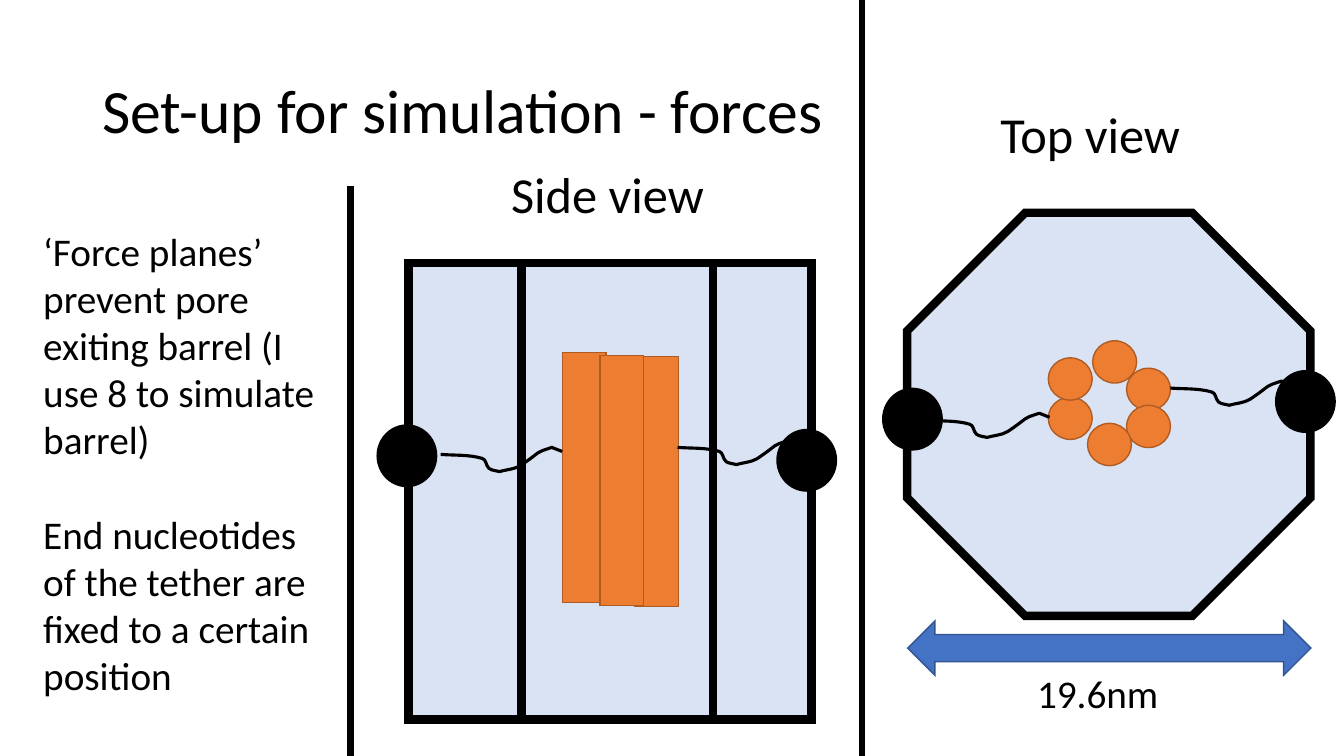
import pptx
import pptx.dml.color
import pptx.enum.shapes
import pptx.enum.text
import pptx.oxml.ns
import pptx.util
import lxml.etree

Pt = pptx.util.Pt
KIND = pptx.enum.shapes.MSO_SHAPE
ANCHOR = pptx.enum.text.MSO_ANCHOR
BLACK, PALE, ORANGE, RUST = "000000", "DAE3F3", "ED7D31", "AF5C24"
BLUE, NAVY = "4472C4", "325491"

# Tether outline in points: start, cubic curves, straight end
START = (0, 5)
CURVES = [
    ((9.4, 5.8), (20.2, 5), (29.8, 7.9)),
    ((32.6, 8.6), (32.2, 13), (34.6, 15.1)),
    ((36.7, 16.6), (39.8, 16.6), (42, 17.3)),
    ((46.8, 15.8), (52.4, 15.8), (57, 13)),
    ((74, 1.5), (66, 4.5), (79.4, 0)),
]
END = (86.8, 2.9)


def color(code):
    return pptx.dml.color.RGBColor.from_string(code)


def style(target, values):
    for name, value in values.items():
        setattr(target, name, value)


def add(parent, tag, **values):
    return lxml.etree.SubElement(parent, pptx.oxml.ns.qn(tag), **values)


def stroke(line, code, width):
    line.color.rgb = color(code)
    line.width = Pt(width)


def shape(slide, kind, box, fill, edge, width=1):
    item = slide.shapes.add_shape(kind, *map(Pt, box))
    item.shadow.inherit = False
    item.fill.solid()
    item.fill.fore_color.rgb = color(fill)
    stroke(item.line, edge, width)
    add(item.line._get_or_add_ln(), "a:miter", lim="800000")


def rule(slide, x, top, bottom):
    line = slide.shapes.add_connector(
        pptx.enum.shapes.MSO_CONNECTOR.STRAIGHT, Pt(x), Pt(top), Pt(x), Pt(bottom))
    stroke(line.line, BLACK, 4.5)
    add(line._element.spPr, "a:effectLst")


def bend(item):
    """Turn the straight segments of a tether, except the last, into cubics."""
    segments = list(item._element.iter(pptx.oxml.ns.qn("a:lnTo")))
    for segment, curve in zip(segments, CURVES):
        outline = segment.getparent()
        cubic = add(outline, "a:cubicBezTo")
        for x, y in curve:
            add(cubic, "a:pt", x=str(Pt(x)), y=str(Pt(y)))
        outline.replace(segment, cubic)


def tether(slide, left, top):
    knots = [START, *(curve[-1] for curve in CURVES), END]
    first, *rest = [(Pt(left + x), Pt(top + y)) for x, y in knots]
    path = slide.shapes.build_freeform(*first)
    path.add_line_segments(rest, close=False)
    item = path.convert_to_shape()
    bend(item)
    item.shadow.inherit = False
    item.fill.background()
    stroke(item.line, BLACK, 2.25)


def text(slide, box, lines, size, wrap=False, anchor=ANCHOR.TOP, **layout):
    frame = slide.shapes.add_textbox(*map(Pt, box)).text_frame
    style(frame, {"word_wrap": wrap, "vertical_anchor": anchor})
    for index, words in enumerate(lines):
        para = frame.add_paragraph() if index else frame.paragraphs[0]
        para.text = words
        style(para, layout)
        if index:
            para.space_before = Pt(34)
        style(para.font, {"name": "Calibri", "size": Pt(size)})
        para.font.color.rgb = color(BLACK)


def side(slide):
    text(slide, (358, 113, 153, 51), ["Side view"], 36)
    for left, width in ((291.8, 288), (372.6, 136.6)):
        shape(slide, KIND.RECTANGLE, (left, 188, width, 326), PALE, BLACK, 6)
    for left, top in ((555, 306.8), (269.4, 303.6)):
        shape(slide, KIND.OVAL, (left, top, 42.5, 44), BLACK, BLACK)
    for left, top in ((401.8, 251.9), (453.6, 254.5), (428.6, 254)):
        shape(slide, KIND.RECTANGLE, (left, top, 31, 178.6), ORANGE, RUST)
    tether(slide, 314.8, 319.6)
    tether(slide, 484, 314.6)


def top(slide):
    text(slide, (707.5, 70, 144, 51), ["Top view"], 36)
    shape(slide, KIND.OCTAGON, (648, 152, 288, 288), PALE, BLACK, 6)
    pores = ((780.5, 243.4), (804.7, 263), (804.7, 289.5),
             (776.8, 302.4), (748.8, 283.7), (748.8, 255.6))
    for left, high in pores:
        shape(slide, KIND.OVAL, (left, high, 31.4, 30.2), ORANGE, RUST)
    for left, high in ((630.5, 277.4), (911.2, 264.8)):
        shape(slide, KIND.OVAL, (left, high, 42.5, 44), BLACK, BLACK)
    tether(slide, 663, 295.2)
    tether(slide, 836, 272.2)
    shape(slide, KIND.LEFT_RIGHT_ARROW, (648.4, 443.5, 288, 38.9), BLUE, NAVY)
    text(slide, (733.7, 474.5, 102, 41), ["19.6nm"], 28)


def main():
    deck = pptx.Presentation()
    style(deck, {"slide_width": Pt(960), "slide_height": Pt(540)})
    slide = deck.slides.add_slide(deck.slide_layouts[6])
    text(slide, (66, 28.8, 828, 104.4), ["Set-up for simulation - forces"], 44,
         wrap=True, anchor=ANCHOR.MIDDLE, line_spacing=0.9)
    side(slide)
    top(slide)
    rule(slide, 615.6, 0, 540)
    rule(slide, 250.3, 133, 540)
    text(slide, (23.8, 159, 221, 346), [
        "‘Force planes’ prevent pore exiting barrel (I use 8 to simulate barrel)",
        "End nucleotides of the tether are fixed to a certain position",
    ], 28, wrap=True)
    deck.save("out.pptx")


if __name__ == "__main__":
    main()
